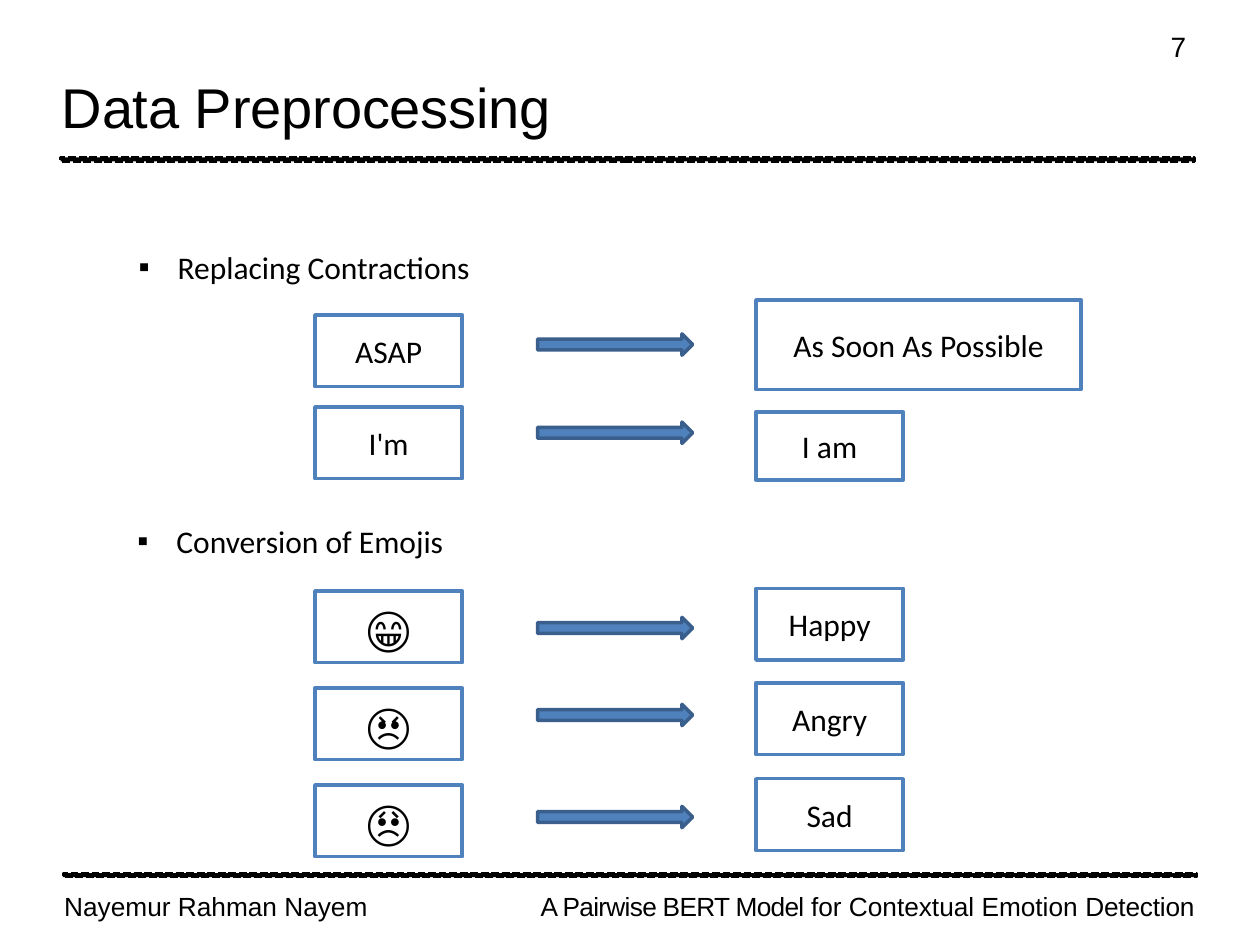
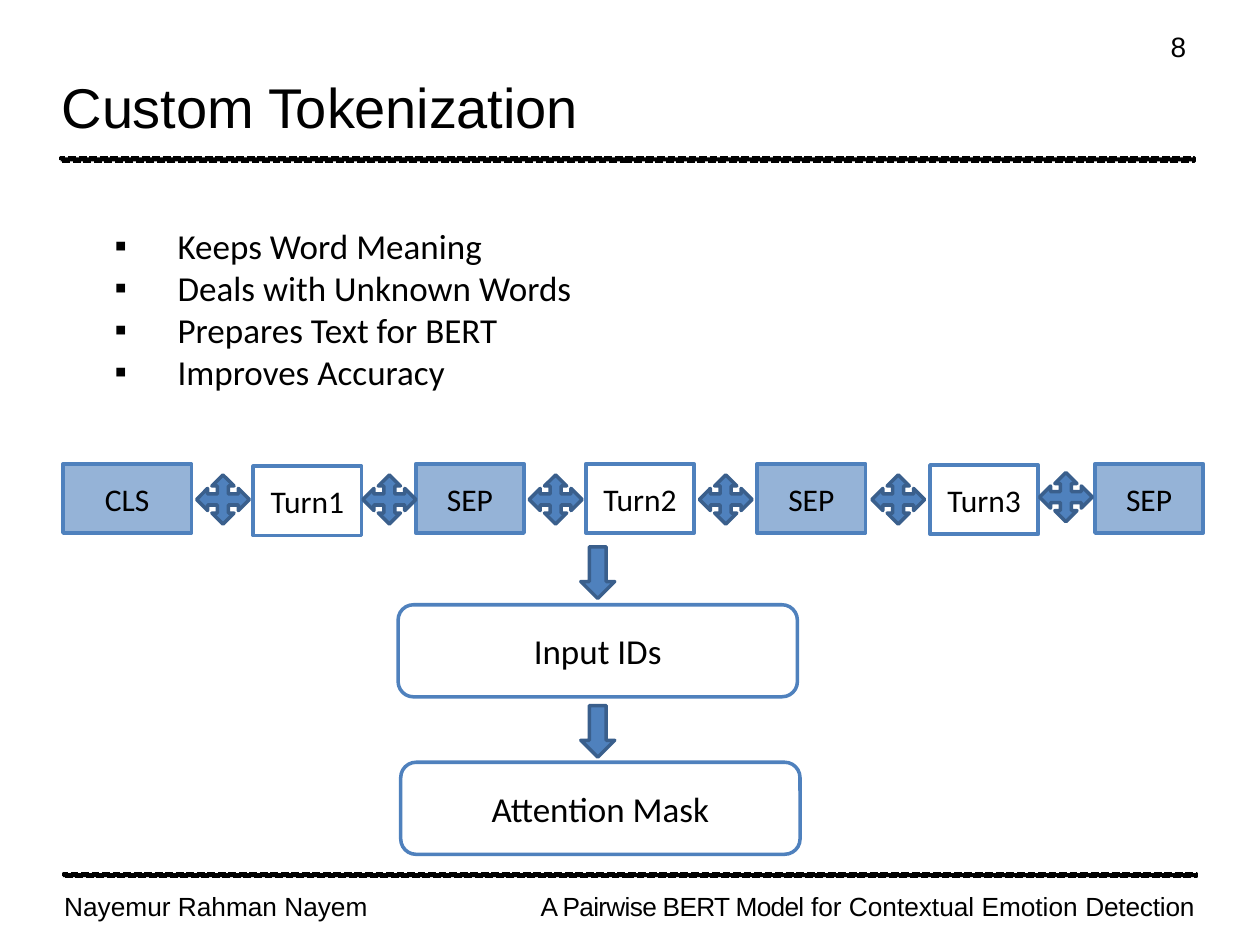
"""Build two slides on preparing text for contextual emotion detection."""
import pptx
import pptx.dml.color
import pptx.enum.dml
import pptx.enum.shapes
import pptx.enum.text
import pptx.oxml
import pptx.oxml.ns
import pptx.util

Pt = pptx.util.Pt
RGBColor = pptx.dml.color.RGBColor
SHAPE = pptx.enum.shapes.MSO_SHAPE
ALIGN = pptx.enum.text.PP_ALIGN
ANCHOR = pptx.enum.text.MSO_ANCHOR

BLACK = RGBColor(0x00, 0x00, 0x00)
WHITE = RGBColor(0xFF, 0xFF, 0xFF)
BLUE = RGBColor(0x4F, 0x81, 0xBD)
DARK_BLUE = RGBColor(0x3A, 0x5F, 0x8C)
PALE_BLUE = RGBColor(0x95, 0xB3, 0xD7)
NAMESPACE = pptx.oxml.ns.nsdecls("a")


def add_span(para, text, size, font="Calibri", tracking=0):
    """Add one black run, with tracking in hundredths of a point."""
    span = para.add_run()
    span.text = text
    span.font.size = Pt(size)
    span.font.name = font
    span.font.color.rgb = BLACK
    if tracking:
        span._r.get_or_add_rPr().set("spc", str(tracking))


def add_figure(page, kind, place, fill, line, label="", size=18):
    """Add a filled, outlined shape at (left, top, width, height)."""
    figure = page.shapes.add_shape(kind, *[Pt(length) for length in place])
    figure.shadow.inherit = False
    figure.fill.solid()
    figure.fill.fore_color.rgb = fill
    figure.line.color.rgb = line
    figure.line.width = Pt(2)
    if label:
        figure.text_frame.vertical_anchor = ANCHOR.MIDDLE
        para = figure.text_frame.paragraphs[0]
        para.alignment = ALIGN.CENTER
        add_span(para, label, size)
    return figure


deck = pptx.Presentation()
deck.slide_width = Pt(720)
deck.slide_height = Pt(540)

outlines = [
    ("Data Preprocessing", "7", 3, 18, 22.3, [
        ((72, 138.2, 594, 51), ["Replacing Contractions"]),
        ((71.3, 294.5, 594, 28.8), ["Conversion of Emojis"]),
    ]),
    ("Custom Tokenization", "8", 1, 20, 36, [
        ((58.3, 124.6, 569.5, 104.4), [
            "Keeps Word Meaning",
            "Deals with Unknown Words",
            "Prepares Text for BERT",
            "Improves Accuracy",
        ]),
    ]),
]
footer_spans = [
    ("Nayemur Rahman Nayem\t", 0),
    ("A Pairwise BERT Model ", -40),
    ("for Contextual Emotion ", 0),
    ("Detection", -10),
]

for title, number, layout, size, indent, lists in outlines:
    page = deck.slides.add_slide(deck.slide_layouts[layout])

    heading = page.shapes.title
    heading.left, heading.top, heading.width, heading.height = Pt(24.5), Pt(35.3), Pt(654.5), Pt(45.4)
    frame = heading.text_frame
    frame.auto_size = pptx.enum.text.MSO_AUTO_SIZE.NONE
    frame.vertical_anchor = ANCHOR.MIDDLE
    frame.margin_left, frame.margin_top = Pt(10.8), Pt(5.8)
    frame.margin_right = frame.margin_bottom = Pt(0)
    para = frame.paragraphs[0]
    para.alignment = ALIGN.LEFT
    para.space_before = Pt(1.1)
    add_span(para, title, 32, "Arial", -10)

    for left, top in [(34.6, 90), (36, 499)]:
        rule = add_figure(page, SHAPE.RECTANGLE, (left, top, 648, 2.2), BLACK, BLACK)
        rule.line.width = Pt(1.5)
        rule.line.dash_style = pptx.enum.dml.MSO_LINE.SQUARE_DOT

    for place, line_height, margin, spans, text_size in [
        ((666, 17.3, 24.5, 20.2), 18.6, 2.9, [(number, -20)], 16),
        ((36, 506.9, 648, 18.7), 19.9, 0.7, footer_spans, 15),
    ]:
        box = page.shapes.add_textbox(*[Pt(length) for length in place])
        frame = box.text_frame
        frame.word_wrap = True
        frame.margin_left = Pt(margin)
        frame.margin_right = frame.margin_top = frame.margin_bottom = Pt(0)
        para = frame.paragraphs[0]
        para.line_spacing = Pt(line_height)
        for text, tracking in spans:
            add_span(para, text, text_size, "Arial", tracking)
    para._p.get_or_add_pPr().append(pptx.oxml.parse_xml(
        f'<a:tabLst {NAMESPACE}><a:tab pos="{Pt(646)}" algn="r"/></a:tabLst>'))

    for body, (place, items) in zip(list(page.placeholders)[1:], lists):
        body.left, body.top, body.width, body.height = [Pt(length) for length in place]
        frame = body.text_frame
        frame.auto_size = pptx.enum.text.MSO_AUTO_SIZE.NONE
        frame.vertical_anchor = ANCHOR.TOP
        for index, item in enumerate(items):
            para = frame.add_paragraph() if index else frame.paragraphs[0]
            para.space_before = Pt(0)
            add_span(para, item, size)
            properties = para._p.get_or_add_pPr()
            properties.set("marL", str(Pt(indent)))
            properties.set("indent", str(-Pt(indent)))
            properties.append(pptx.oxml.parse_xml(f'<a:buChar {NAMESPACE} char="▪"/>'))

preprocessing, tokenization = deck.slides

replacements = [
    ("ASAP", 18, 180, 190.8, "As Soon As Possible", (432, 171.4, 185.8, 51.1)),
    ("I'm", 18, 232.6, 241.2, "I am", (432, 235.4, 84.2, 38.9)),
    ("😁", 28, 337.7, 352.8, "Happy", (432, 336.2, 84.2, 41)),
    ("😠", 28, 393.1, 402.5, "Angry", (432, 390.2, 84.2, 41)),
    ("😞", 28, 448.6, 460.8, "Sad", (432, 445, 84.2, 41)),
]
for source, size, source_top, arrow_top, meaning, meaning_place in replacements:
    add_figure(preprocessing, SHAPE.RECTANGLE, (180, source_top, 84.2, 41), WHITE, BLUE, source, size)
    add_figure(preprocessing, SHAPE.RIGHT_ARROW, (307.2, arrow_top, 88.6, 12.2), BLUE, DARK_BLUE)
    add_figure(preprocessing, SHAPE.RECTANGLE, meaning_place, WHITE, BLUE, meaning)

tokens = [
    ("CLS", 36, 265, 73.4),
    ("Turn1", 144.7, 266.4, 61.9),
    ("SEP", 237.6, 265, 61.9),
    ("Turn2", 334.8, 265, 61.9),
    ("SEP", 432.7, 265, 61.9),
    ("Turn3", 531.4, 265.7, 61.9),
    ("SEP", 625.7, 265, 61.9),
]
for label, left, top, width in tokens:
    fill = WHITE if label.startswith("Turn") else PALE_BLUE
    add_figure(tokenization, SHAPE.RECTANGLE, (left, top, width, 39.6), fill, BLUE, label)

for left, top in [(112.3, 271.4), (207.4, 271.4), (302.4, 271.4),
                  (399.6, 271.4), (498.2, 271.4), (594, 270)]:
    add_figure(tokenization, SHAPE.QUAD_ARROW, (left, top, 30.2, 28.1), BLUE, DARK_BLUE)

for label, left, top, arrow_top in [("Input IDs", 227.5, 345.6, 312.5),
                                    ("Attention Mask", 229, 435.6, 403.2)]:
    add_figure(tokenization, SHAPE.DOWN_ARROW, (331.9, arrow_top, 19.4, 29.5), BLUE, DARK_BLUE)
    add_figure(tokenization, SHAPE.ROUNDED_RECTANGLE, (left, top, 228.2, 52.6), WHITE, BLUE, label, 20)

deck.save("out.pptx")
